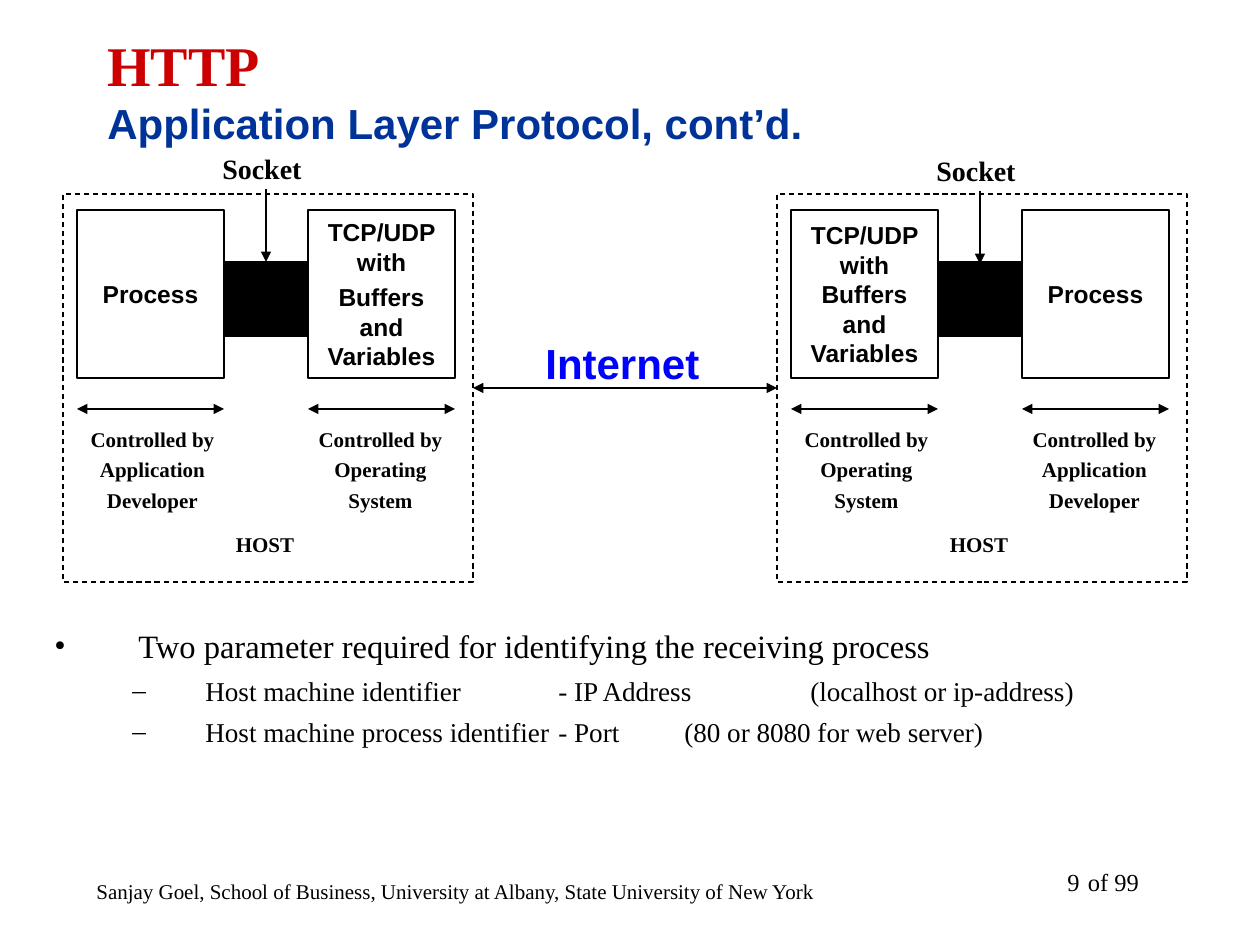
from lxml.etree import SubElement
from pptx import Presentation
from pptx.dml.color import RGBColor
from pptx.enum.dml import MSO_LINE
from pptx.enum.shapes import MSO_CONNECTOR, MSO_SHAPE
from pptx.enum.text import MSO_ANCHOR, PP_ALIGN
from pptx.oxml.ns import qn
from pptx.util import Emu, Pt

PX = 914400 / 126
BLACK = RGBColor(0x00, 0x00, 0x00)
RED = RGBColor(0xCC, 0x00, 0x00)
NAVY = RGBColor(0x00, 0x33, 0x99)
BLUE = RGBColor(0x00, 0x00, 0xFF)
SERIF, SANS = "Times New Roman", "Arial"

# Block label and caption
SYSTEM_CAPTION = ["Controlled by", "Operating", "System"]
APPLICATION = (["Process"], ["Controlled by", "Application", "Developer"])
SYSTEM_LEFT = (["TCP/UDP with", "Buffers and Variables"], SYSTEM_CAPTION)
SYSTEM_RIGHT = (["TCP/UDP with Buffers and Variables"], SYSTEM_CAPTION)


def px(value):
    return Emu(round(value * PX))


def set_font(font, size, name=SERIF, color=BLACK, bold=False):
    font.size, font.name, font.bold = Pt(size), name, bold
    font.color.rgb = color


def write_lines(text_frame, lines, size, name=SERIF, color=BLACK, bold=False,
                align=PP_ALIGN.LEFT, gap=0):
    for index, line in enumerate(lines):
        paragraph = text_frame.paragraphs[0] if index == 0 else text_frame.add_paragraph()
        paragraph.text = line
        paragraph.alignment = align
        if index:
            paragraph.space_before = Pt(gap)
        set_font(paragraph.font, size, name, color, bold)


def add_text(slide, box, lines, size, wrap=False, **style):
    text_frame = slide.shapes.add_textbox(*map(px, box)).text_frame
    text_frame.word_wrap = wrap
    write_lines(text_frame, lines, size, **style)


def add_box(slide, box, fill=None, dash=None):
    shape = slide.shapes.add_shape(MSO_SHAPE.RECTANGLE, *map(px, box))
    shape.shadow.inherit = False
    if fill is None:
        shape.fill.background()
    else:
        shape.fill.solid()
        shape.fill.fore_color.rgb = fill
    shape.line.color.rgb = BLACK
    shape.line.width = Pt(0.75)
    if dash:
        shape.line.dash_style = dash
    return shape


def add_arrow(slide, start, end, both=True):
    connector = slide.shapes.add_connector(
        MSO_CONNECTOR.STRAIGHT, *map(px, (*start, *end)))
    connector.line.color.rgb = BLACK
    connector.line.width = Pt(0.75)
    line = connector.line._get_or_add_ln()
    for tag in (["a:headEnd"] if both else []) + ["a:tailEnd"]:
        SubElement(line, qn(tag), type="triangle")
    SubElement(connector._element.spPr, qn("a:effectLst"))


def add_title(slide, box):
    text_frame = slide.shapes.add_textbox(*map(px, box)).text_frame
    text_frame.word_wrap = True
    text_frame.vertical_anchor = MSO_ANCHOR.MIDDLE
    paragraph = text_frame.paragraphs[0]
    heading = paragraph.add_run()
    heading.text = "HTTP"
    set_font(heading.font, 32, SERIF, RED, True)
    paragraph.add_line_break()
    subtitle = paragraph.add_run()
    subtitle.text = "Application Layer Protocol, cont’d."
    set_font(subtitle.font, 24, SANS, NAVY, True)


def add_host(slide, box, parts, socket_drop=0):
    left, top, width, height = box
    add_box(slide, box, dash=MSO_LINE.DASH)

    # Two blocks, each with its extent arrow and caption
    block_width, block_height, pitch = 147, 168, 231
    for index, (label, caption) in enumerate(parts):
        x = left + 14 + index * pitch
        block = add_box(slide, (x, top + 16, block_width, block_height))
        block.text_frame.word_wrap = True
        block.text_frame.vertical_anchor = MSO_ANCHOR.MIDDLE
        write_lines(block.text_frame, label, 14, SANS, bold=True,
                    align=PP_ALIGN.CENTER, gap=3.5)
        add_arrow(slide, (x, top + 215), (x + block_width, top + 215))
        add_text(slide, (x + 1 - 3 * index, top + 226, 149, 100), caption, 12,
                 bold=True, align=PP_ALIGN.CENTER, gap=3)

    # Socket between the blocks
    add_box(slide, (left + 161, top + 68, pitch - block_width, 74), fill=BLACK)
    label_top = top - 49 + socket_drop
    add_text(slide, (left + 147, label_top, 105, 47), ["Socket"], 16, bold=True)
    add_arrow(slide, (left + 203, label_top + 44), (left + 203, label_top + 117), both=False)

    # Host name, with room to stay on one line
    add_text(slide, (left + 142, top + 331, 120, 38), ["HOST"], 12,
             bold=True, align=PP_ALIGN.CENTER)


def add_internet_link(slide, box):
    left, top, width, height = box
    add_arrow(slide, (left, top + height), (left + width, top + height))
    add_text(slide, (left + 60, top, 179, 63), ["Internet"], 24,
             name=SANS, color=BLUE, bold=True)


def add_bullets(slide, box):
    items = [
        (0, "Two parameter required for identifying the receiving process"),
        (1, "Host machine identifier\t- IP Address \t(localhost or ip-address)"),
        (1, "Host machine process identifier\t- Port\t(80 or 8080 for web server)"),
    ]
    # Per level: bullet, margin, hanging indent, size
    levels = [("•", 84, 84, 18.6), ("–", 151, 73, 15.5)]
    text_frame = slide.shapes.add_textbox(*map(px, box)).text_frame
    text_frame.word_wrap = True
    for index, (level, text) in enumerate(items):
        bullet, margin, hanging, size = levels[level]
        paragraph = text_frame.paragraphs[0] if index == 0 else text_frame.add_paragraph()
        paragraph.text = text
        paragraph.level = level
        properties = paragraph._p.get_or_add_pPr()
        properties.set("marL", str(px(margin)))
        properties.set("indent", str(-px(hanging)))
        SubElement(properties, qn("a:buFont"), typeface=SERIF)
        SubElement(properties, qn("a:buChar"), char=bullet)
        tabs = SubElement(properties, qn("a:tabLst"))
        for inch in range(level + 1, level + 9):
            SubElement(tabs, qn("a:tab"), pos=str(px(126 * inch)), algn="l")
        if index:
            paragraph.space_before = Pt(5)
        set_font(paragraph.font, size)


def add_footer(slide, box):
    left, top, width, height = box
    add_text(slide, (left, top + 11, 788, height),
             ["Sanjay Goel, School of Business, University at Albany, State University of New York"],
             12, wrap=True)
    add_text(slide, (left + 819, top, 189, height), ["9"], 14, wrap=True,
             align=PP_ALIGN.RIGHT)
    add_text(slide, (left + 977, top, 105, height), ["of 99"], 14, wrap=True,
             align=PP_ALIGN.CENTER)


def main():
    presentation = Presentation()
    presentation.slide_width, presentation.slide_height = px(1260), px(945)
    slide = presentation.slides.add_slide(presentation.slide_layouts[6])
    add_title(slide, (95, 10, 1071, 158))
    add_host(slide, (63, 194, 410, 388), [APPLICATION, SYSTEM_LEFT])
    add_host(slide, (777, 194, 410, 388), [SYSTEM_RIGHT, APPLICATION], socket_drop=2)
    add_internet_link(slide, (473, 331, 304, 57))
    add_bullets(slide, (42, 620, 1187, 210))
    add_footer(slide, (84, 861, 1082, 63))
    presentation.save("out.pptx")


if __name__ == "__main__":
    main()
